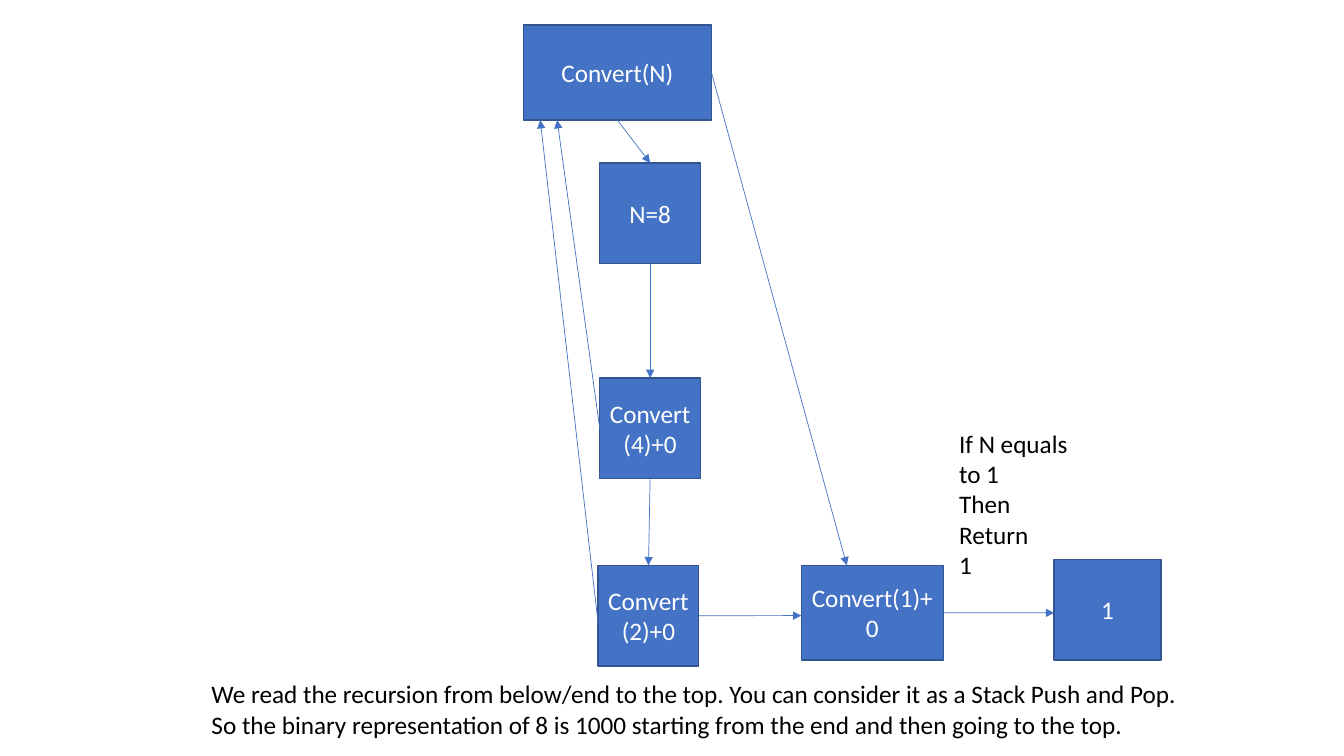
from dataclasses import dataclass

from lxml.etree import SubElement
from pptx import Presentation
from pptx.dml.color import RGBColor as RGB
from pptx.enum.shapes import MSO_CONNECTOR as CONN, MSO_SHAPE as SHAPE
from pptx.enum.text import MSO_ANCHOR as ANCHOR, MSO_AUTO_SIZE as FIT, PP_ALIGN as ALIGN
from pptx.oxml.ns import qn
from pptx.util import Inches, Pt


@dataclass(frozen=True)
class Theme:
    """Hold the colours, type and line widths of the slide."""
    fill: RGB = RGB(0x44, 0x72, 0xC4)
    edge: RGB = RGB(0x32, 0x54, 0x91)
    light: RGB = RGB(0xFF, 0xFF, 0xFF)
    dark: RGB = RGB(0, 0, 0)
    font: str = "Calibri"
    size: Pt = Pt(18)
    edge_width: Pt = Pt(1)
    arrow_width: Pt = Pt(0.5)


THEME = Theme()
WIDTH, HEIGHT = Inches(13.333), Inches(7.5)
COLS, ROWS = 16, 9

BOXES = {
    "start": ("Convert(N)", 6.23, 0.3, 2.24, 1.13),
    "eight": ("N=8", 7.14, 1.94, 1.2, 1.2),
    "four": ("Convert(4)+0", 7.14, 4.5, 1.2, 1.2),
    "two": ("Convert(2)+0", 7.12, 6.73, 1.2, 1.2),
    "one": ("Convert(1)+0", 9.54, 6.73, 1.69, 1.13),
    "result": ("1", 12.55, 6.66, 1.27, 1.2),
}

ARROWS = [
    ("start", 0.5, 1, "eight", 0.5, 0),
    ("eight", 0.5, 1, "four", 0.5, 0),
    ("four", 0.5, 1, "two", 0.5, 0),
    ("four", 0, 0.5, "start", 0.18, 1),
    ("two", 0, 0.57, "start", 0.09, 1),
    ("two", 1, 0.5, "one", 0, 0.53),
    ("start", 1, 0.5, "one", 0.32, 0),
    ("one", 1, 0.5, "result", 0, 0.53),
]

BASE_CASE = ["If N equals to 1", "Then", "Return", "1"]
SUMMARY = [
    "We read the recursion from below/end to the top. You can consider it as a Stack Push and Pop.",
    "So the binary representation of 8 is 1000 starting from the end and then going to the top.",
]


def apply(target, formats):
    """Set each format value on the target."""
    for name, value in formats.items():
        setattr(target, name, value)


def cells(col, row, cols, rows):
    """Turn grid columns and rows into slide lengths."""
    x, y = WIDTH / COLS, HEIGHT / ROWS
    return int(col * x), int(row * y), int(cols * x), int(rows * y)


def write(tf, lines, color, align, **frame):
    """Fill a text frame with one paragraph per line."""
    apply(tf, frame)
    for i, line in enumerate(lines):
        p = tf.paragraphs[0] if i == 0 else tf.add_paragraph()
        p.alignment = align
        r = p.add_run()
        r.text = line
        apply(r.font, {"name": THEME.font, "size": THEME.size})
        r.font.color.rgb = color


def add_box(s, label, *place):
    """Add a call box with a centred label."""
    sp = s.shapes.add_shape(SHAPE.RECTANGLE, *cells(*place))
    sp.shadow.inherit = False
    sp.fill.solid()
    sp.fill.fore_color.rgb = THEME.fill
    sp.line.color.rgb = THEME.edge
    sp.line.width = THEME.edge_width
    write(sp.text_frame, [label], THEME.light, ALIGN.CENTER,
          word_wrap=True, vertical_anchor=ANCHOR.MIDDLE)
    return sp


def add_note(s, lines, wrap, *place):
    """Add plain dark text on the slide."""
    sp = s.shapes.add_textbox(*cells(*place))
    write(sp.text_frame, lines, THEME.dark, ALIGN.LEFT,
          word_wrap=wrap, auto_size=FIT.SHAPE_TO_FIT_TEXT)


def point(sp, across, down):
    """Locate a point by its shares of a box's width and height."""
    return int(sp.left + across * sp.width), int(sp.top + down * sp.height)


def add_arrow(s, begin, end):
    """Draw a straight arrow between two points."""
    arrow = s.shapes.add_connector(CONN.STRAIGHT, *begin, *end)
    arrow.line.color.rgb = THEME.fill
    arrow.line.width = THEME.arrow_width
    SubElement(arrow.line._get_or_add_ln(), qn("a:tailEnd"), type="triangle")
    SubElement(arrow._element.spPr, qn("a:effectLst"))


def main():
    """Build the recursion diagram and save it."""
    prs = Presentation()
    apply(prs, {"slide_width": WIDTH, "slide_height": HEIGHT})
    s = prs.slides.add_slide(prs.slide_layouts[6])
    boxes = {key: add_box(s, *box) for key, box in BOXES.items()}
    for source, x1, y1, target, x2, y2 in ARROWS:
        add_arrow(s, point(boxes[source], x1, y1), point(boxes[target], x2, y2))
    add_note(s, BASE_CASE, True, 11.3, 5.04, 1.6, 1.94)
    add_note(s, SUMMARY, False, 2.4, 8.02, 11.87, 0.85)
    prs.save("out.pptx")


if __name__ == "__main__":
    main()
